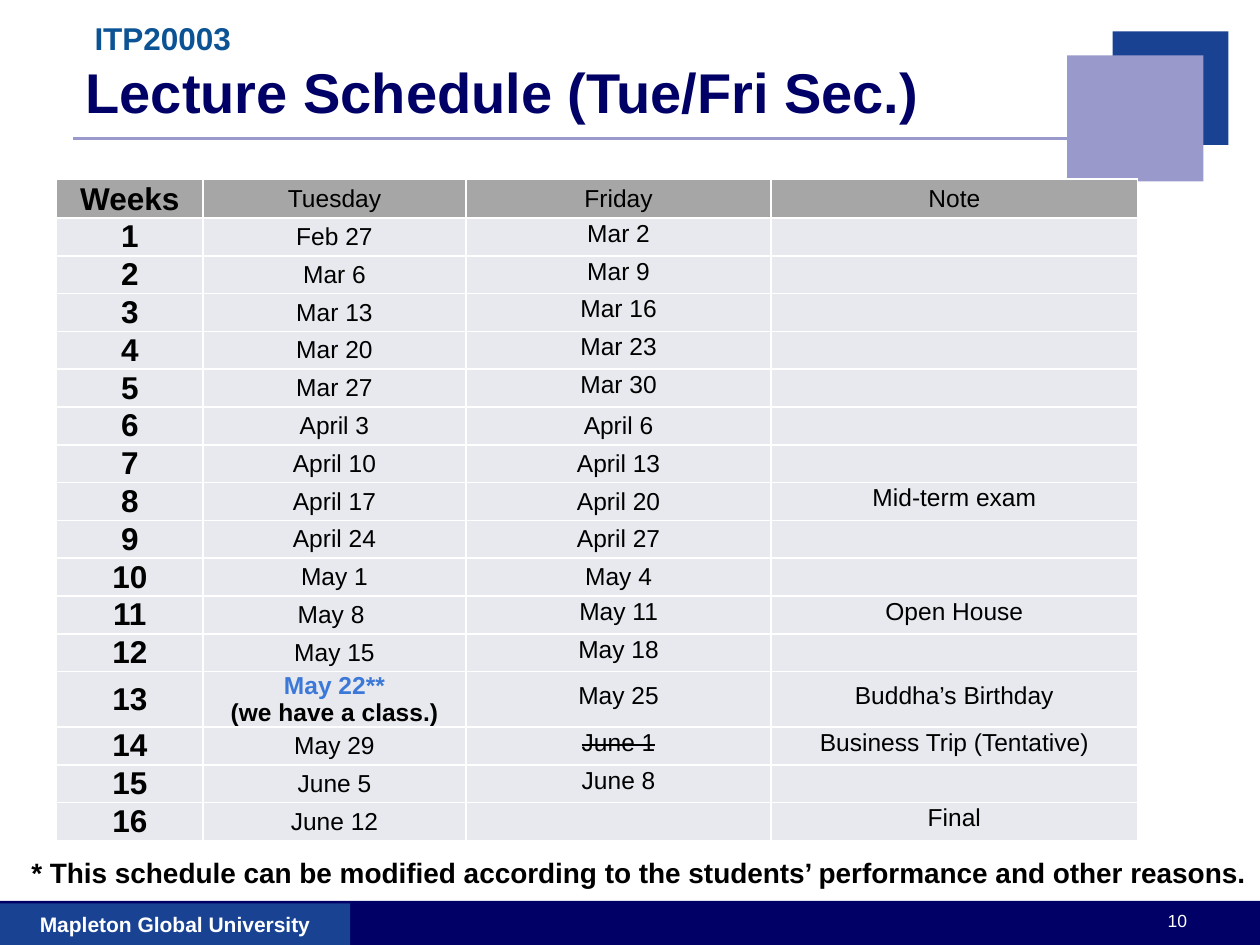
"""Build the weekly lecture schedule slide."""
from dataclasses import dataclass

from lxml import etree
from pptx import Presentation
from pptx import util as u
from pptx.dml.color import RGBColor
from pptx.enum import shapes, text
from pptx.oxml import ns

NAVY = RGBColor(0x00, 0x00, 0x66)
BLUE = RGBColor(0x19, 0x42, 0x93)
LILAC = RGBColor(0x99, 0x99, 0xCC)
TEAL = RGBColor(0x0B, 0x53, 0x94)
ACCENT = RGBColor(0x3C, 0x78, 0xD8)
HEADER = RGBColor(0xA6, 0xA6, 0xA6)
BODY = RGBColor(0xE7, 0xE9, 0xEE)
BLACK = RGBColor(0x00, 0x00, 0x00)
WHITE = RGBColor(0xFF, 0xFF, 0xFF)

COLUMNS, ROWS = 100, 75
LEFT, CENTER, RIGHT = text.PP_ALIGN.LEFT, text.PP_ALIGN.CENTER, text.PP_ALIGN.RIGHT
TOP, MIDDLE = text.MSO_ANCHOR.TOP, text.MSO_ANCHOR.MIDDLE


@dataclass(frozen=True)
class Box:
    """Area in grid columns and rows."""
    col: float
    row: float
    cols: float
    rows: float


@dataclass(frozen=True)
class Style:
    """Look of a paragraph."""
    size: float
    color: RGBColor = BLACK
    bold: bool = False
    align: text.PP_ALIGN = CENTER
    spacing: float | None = None


@dataclass(frozen=True)
class Week:
    """One row of the schedule."""
    tuesday: str
    friday: str = ""
    note: str = ""
    tight: bool = True


WEEK_STYLE = Style(18, bold=True)
DAY_STYLE = Style(14)
TIGHT_STYLE = Style(14, spacing=0.67)
HEADINGS = ("Weeks", "Tuesday", "Friday", "Note")
COLUMN_COLS = (11.6, 20.9, 24.2, 29.1)
HEADER_ROWS, WEEK_ROWS, HOLIDAY_ROWS = 3.1, 3, 4.4
HOLIDAY_WEEK, TRIP_WEEK = 13, 14
WEEKS = (
    Week("Feb 27", "Mar 2"),
    Week("Mar 6", "Mar 9"),
    Week("Mar 13", "Mar 16"),
    Week("Mar 20", "Mar 23"),
    Week("Mar 27", "Mar 30"),
    Week("April 3", "April 6", tight=False),
    Week("April 10", "April 13", tight=False),
    Week("April 17", "April 20", "Mid-term exam", tight=False),
    Week("April 24", "April 27", tight=False),
    Week("May 1", "May 4", tight=False),
    Week("May 8 ", "May 11", "Open House"),
    Week("May 15", "May 18"),
    Week("May 22**\n(we have a class.)", "May 25", "Buddha’s Birthday"),
    Week("May 29", "June 1", "Business Trip (Tentative)"),
    Week("June 5", "June 8"),
    Week("June 12", "", "Final"),
)

prs = Presentation()
prs.slide_width, prs.slide_height = u.Inches(10), u.Inches(7.5)
s = prs.slides.add_slide(prs.slide_layouts[5])


def x(cols: float) -> int:
    return round(prs.slide_width * cols / COLUMNS)


def y(rows: float) -> int:
    return round(prs.slide_height * rows / ROWS)


def area(box: Box) -> tuple[int, int, int, int]:
    return x(box.col), y(box.row), x(box.cols), y(box.rows)


def write(tf, words: str, style: Style) -> None:
    tf.text = words
    for p in tf.paragraphs:
        p.alignment = style.align
        p.line_spacing = style.spacing
        p.font.name, p.font.size, p.font.bold = "Arial", u.Pt(style.size), style.bold
        p.font.color.rgb = style.color


def write_box(sp, words: str, style: Style, anchor=TOP, wrap: bool = True) -> None:
    tf = sp.text_frame
    tf.word_wrap, tf.auto_size, tf.vertical_anchor = wrap, text.MSO_AUTO_SIZE.NONE, anchor
    write(tf, words, style)


def add_block(box: Box, color: RGBColor):
    sp = s.shapes.add_shape(shapes.MSO_SHAPE.RECTANGLE, *area(box))
    sp.shadow.inherit = False
    sp.fill.solid()
    sp.fill.fore_color.rgb = color
    sp.line.fill.background()
    return sp


def add_borders(cell) -> None:
    props = cell._tc.get_or_add_tcPr()
    for i, side in enumerate(("lnL", "lnR", "lnT", "lnB")):
        ln = etree.Element(ns.qn(f"a:{side}"), w=str(u.Pt(1)))
        fill = etree.SubElement(ln, ns.qn("a:solidFill"))
        etree.SubElement(fill, ns.qn("a:srgbClr"), val=str(WHITE))
        props.insert(i, ln)


def fill_cell(cell, words: str, style: Style, color: RGBColor, side: float, top: float) -> None:
    cell.margin_left = cell.margin_right = x(side)
    cell.margin_top, cell.margin_bottom = y(top), 0
    cell.vertical_anchor = MIDDLE
    cell.fill.solid()
    cell.fill.fore_color.rgb = color
    add_borders(cell)
    write(cell.text_frame, words, style)


def add_schedule(col: float, row: float):
    heights = [HEADER_ROWS] + [WEEK_ROWS] * len(WEEKS)
    heights[HOLIDAY_WEEK] = HOLIDAY_ROWS
    box = Box(col, row, sum(COLUMN_COLS), sum(heights))
    table = s.shapes.add_table(len(heights), len(HEADINGS), *area(box)).table
    for column, cols in zip(table.columns, COLUMN_COLS):
        column.width = x(cols)
    for line, rows in zip(table.rows, heights):
        line.height = y(rows)
    for i, heading in enumerate(HEADINGS):
        style = DAY_STYLE if i else WEEK_STYLE
        fill_cell(table.cell(0, i), heading, style, HEADER, 0.1, 0.1)
    for n, week in enumerate(WEEKS, 1):
        entries = (
            (str(n), WEEK_STYLE),
            (week.tuesday, DAY_STYLE),
            (week.friday, TIGHT_STYLE if week.tight else DAY_STYLE),
            (week.note, TIGHT_STYLE if week.note else DAY_STYLE),
        )
        for i, (words, style) in enumerate(entries):
            fill_cell(table.cell(n, i), words, style, BODY, 0.7, 0)
    return table


add_block(Box(0, 71.5, COLUMNS, 3.5), NAVY)
rule = s.shapes.add_connector(shapes.MSO_CONNECTOR.STRAIGHT, x(5.8), y(11), x(85), y(11))
rule.line.color.rgb, rule.line.width = LILAC, u.Pt(2)
etree.SubElement(rule._element.spPr, ns.qn("a:effectLst"))
add_block(Box(88.3, 2.5, 9.2, 9), BLUE)
add_block(Box(84.7, 4.4, 10.8, 10), LILAC)
school = add_block(Box(0, 71.7, 27.8, 3.3), BLUE)
write_box(school, "Mapleton Global University", Style(12, WHITE, True), MIDDLE)

title = s.shapes.title
title.left, title.top, title.width, title.height = area(Box(5.8, 3.1, 76.7, 8.3))
write_box(title, "Lecture Schedule (Tue/Fri Sec.)", Style(32, NAVY, True, LEFT), MIDDLE)

remark = s.shapes.add_textbox(*area(Box(1.5, 67.4, 99, 3.7)))
write_box(remark, "* This schedule can be modified according to the students’ performance "
          "and other reasons.", Style(16, bold=True, align=LEFT), wrap=False)

schedule = add_schedule(4.5, 14.2)
holiday = schedule.cell(HOLIDAY_WEEK, 1).text_frame.paragraphs
for p in holiday:
    p.font.bold = True
holiday[0].font.color.rgb = ACCENT
for r in schedule.cell(TRIP_WEEK, 2).text_frame.paragraphs[0].runs:
    r.font._element.set("strike", "sngStrike")

number = add_block(Box(74.4, 71.7, 20.8, 3.3), NAVY)
write_box(number, "10", Style(10, WHITE, align=RIGHT))

course = s.shapes.add_textbox(*area(Box(5.8, 0.5, 62.5, 7.3)))
write_box(course, "ITP20003", Style(18, TEAL, True, LEFT))
course.text_frame.margin_left, course.text_frame.margin_top = x(1.7), y(1)

prs.save("out.pptx")
